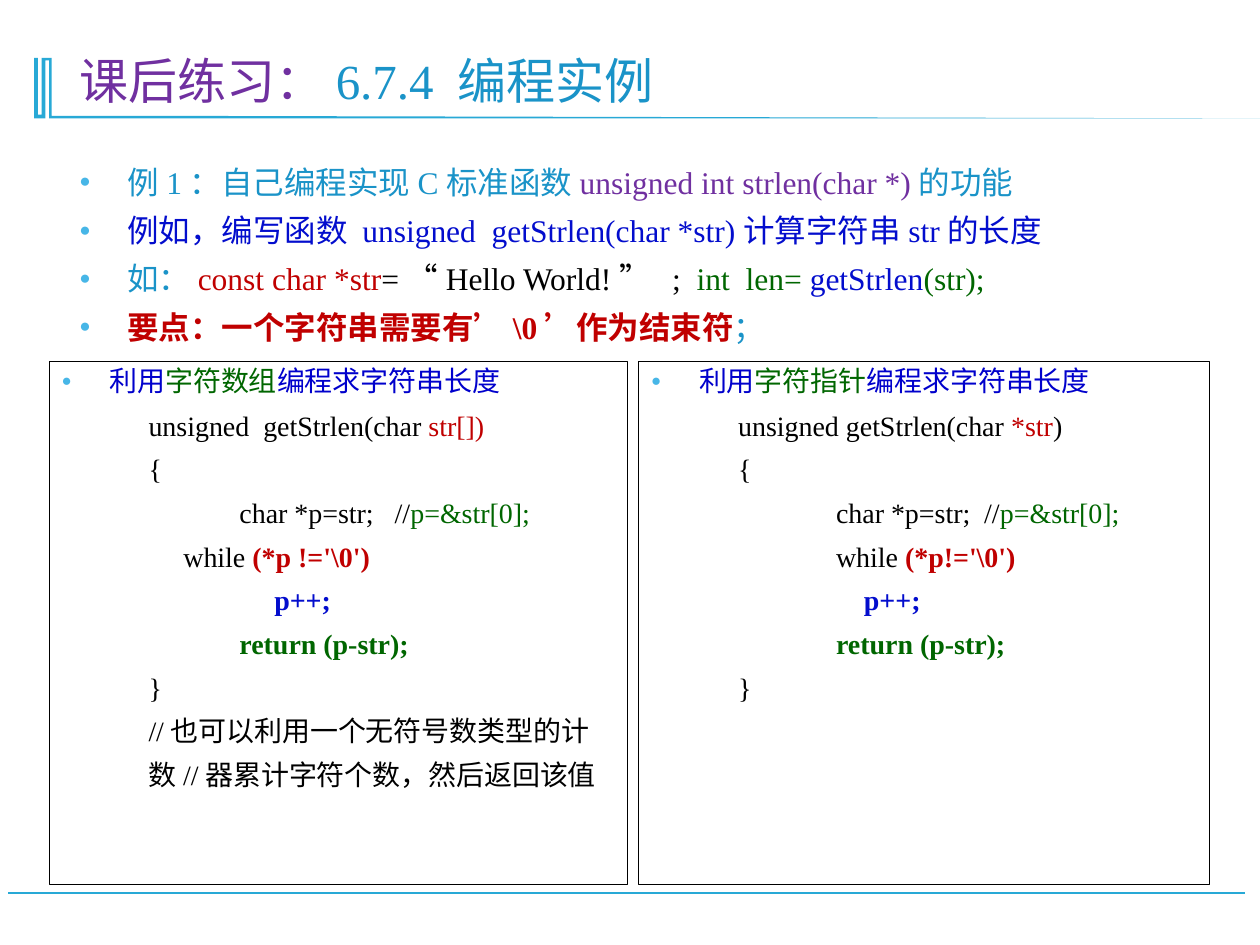
from dataclasses import dataclass

from lxml import etree
from pptx import Presentation
from pptx.dml.color import RGBColor
from pptx.enum.shapes import MSO_CONNECTOR, MSO_SHAPE
from pptx.enum.text import MSO_ANCHOR, MSO_AUTO_SIZE, PP_ALIGN
from pptx.oxml.ns import qn
from pptx.util import Inches, Pt

STRAIGHT = MSO_CONNECTOR.STRAIGHT
RECTANGLE = MSO_SHAPE.RECTANGLE
TOP, BOTTOM = MSO_ANCHOR.TOP, MSO_ANCHOR.BOTTOM
NO_AUTOFIT = MSO_AUTO_SIZE.NONE
LEFT = PP_ALIGN.LEFT


@dataclass(frozen=True)
class Theme:
    font: str = "Times New Roman"
    title_size: int = 28
    body_size: int = 18
    code_size: int = 16
    accent: str = "28A9D6"
    heading: str = "1A93C8"
    bullet: str = "47B6E7"
    purple: str = "7030A0"
    blue: str = "030DCD"
    panel_blue: str = "0000CC"
    red: str = "C00000"
    green: str = "006600"
    black: str = "000000"


THEME = Theme()


class SlideBuilder:
    def __init__(self, slide, theme):
        self.slide = slide
        self.theme = theme

    def color(self, name):
        return RGBColor.from_string(getattr(self.theme, name))

    def place(self, shape, box):
        shape.left, shape.top, shape.width, shape.height = map(Inches, box)

    def prepare(self, frame, anchor):
        frame.word_wrap = True
        frame.auto_size = NO_AUTOFIT
        frame.vertical_anchor = anchor

    def next_paragraph(self, frame, index):
        return frame.add_paragraph() if index else frame.paragraphs[0]

    def fill_paragraph(self, paragraph, runs, size, spacing=1.0, before=0):
        paragraph.alignment = LEFT
        paragraph.line_spacing = spacing
        paragraph.space_before = Pt(before)
        paragraph.font.name = self.theme.font
        paragraph.font.size = Pt(size)
        for text, color, *bold in runs:
            run = paragraph.add_run()
            run.text = text
            run.font.color.rgb = self.color(color)
            run.font.bold = bool(bold)

    def indent(self, paragraph, margin, first=0.0):
        properties = paragraph._p.get_or_add_pPr()
        properties.set("marL", str(Inches(margin)))
        properties.set("indent", str(Inches(first)))
        return properties

    def bullet(self, paragraph):
        properties = self.indent(paragraph, 0.38, -0.38)
        color = etree.SubElement(properties, qn("a:buClr"))
        etree.SubElement(color, qn("a:srgbClr"), val=self.theme.bullet)
        etree.SubElement(properties, qn("a:buSzPct"), val="60000")
        etree.SubElement(properties, qn("a:buFont"), typeface=self.theme.font)
        etree.SubElement(properties, qn("a:buChar"), char="●")

    def code_indent(self, paragraph):
        paragraph.level = 1
        properties = self.indent(paragraph, 0.69)
        stops = etree.SubElement(properties, qn("a:tabLst"))
        etree.SubElement(stops, qn("a:tab"), pos=str(Inches(1.44)), algn="l")

    def title(self, box, runs):
        title = self.slide.shapes.title
        self.place(title, box)
        self.prepare(title.text_frame, BOTTOM)
        heading = title.text_frame.paragraphs[0]
        self.fill_paragraph(heading, runs, self.theme.title_size, 0.9)

    def body(self, box, items):
        body = self.slide.placeholders[1]
        self.place(body, box)
        self.prepare(body.text_frame, TOP)
        for index, runs in enumerate(items):
            paragraph = self.next_paragraph(body.text_frame, index)
            self.bullet(paragraph)
            before = 6 if index else 0
            self.fill_paragraph(paragraph, runs, self.theme.body_size, before=before)

    def code_panel(self, box, heading, code):
        panel = self.slide.shapes.add_shape(RECTANGLE, *map(Inches, box))
        panel.shadow.inherit = False
        panel.fill.background()
        panel.line.color.rgb = self.color("black")
        panel.line.width = Pt(0.75)
        self.prepare(panel.text_frame, TOP)
        for index, runs in enumerate([heading, *code]):
            paragraph = self.next_paragraph(panel.text_frame, index)
            if index:
                self.code_indent(paragraph)
            else:
                self.bullet(paragraph)
            spacing = 1.3 if index else 0.9
            self.fill_paragraph(paragraph, runs, self.theme.code_size, spacing)

    def rule(self, start, end):
        rule = self.slide.shapes.add_connector(STRAIGHT, *map(Inches, (*start, *end)))
        rule.line.color.rgb = self.color("accent")
        rule.line.width = Pt(1.25)
        etree.SubElement(rule._element.spPr, qn("a:effectLst"))

    def ornament(self, points):
        start, *rest = [(Inches(x), Inches(y)) for x, y in points]
        outline = self.slide.shapes.build_freeform(*start)
        outline.add_line_segments(rest, close=True)
        ornament = outline.convert_to_shape()
        ornament.shadow.inherit = False
        ornament.fill.solid()
        ornament.fill.fore_color.rgb = self.color("accent")
        ornament.line.fill.background()


TITLE = [("课后练习：", "purple"), ("6.7.4 编程实例", "heading")]

EXERCISES = [
    [("例1：自己编程实现C标准函数", "heading"),
     ("unsigned int strlen(char *)", "purple"), ("的功能", "heading")],
    [("例如，编写函数 unsigned  getStrlen(char *str)计算字符串str的长度", "blue")],
    [("如：", "heading"), ("const char *str", "red"),
     ("=“Hello World!”  ;  ", "black"), ("int  len= ", "green"),
     ("getStrlen", "blue"), ("(str);", "green")],
    [("要点：一个字符串需要有’\\0’作为结束符", "red", True), ("；", "heading")],
]

OPEN_BRACE = [("{", "black")]
CLOSE_BRACE = [("}", "black")]
INCREMENT = [("\t", "black"), ("         p++;", "blue", True)]

ARRAY_CODE = [
    [("unsigned  getStrlen(char ", "black"), ("str[])", "red")],
    OPEN_BRACE,
    [("\t    char *p=str;   //", "black"), ("p=&str[0];", "green")],
    [("     while ", "black"), ("(*p !='\\0')", "red", True)],
    INCREMENT,
    [("\t", "black"), ("    return (p-str);", "green", True)],
    CLOSE_BRACE,
    [("//也可以利用一个无符号数类型的计数//器累计字符个数，然后返回该值", "black")],
]

POINTER_CODE = [
    [("unsigned getStrlen(char ", "black"), ("*str", "red"), (")", "black")],
    OPEN_BRACE,
    [("\t     char *p=str;  //", "black"), ("p=&str[0];", "green")],
    [("\t     while ", "black"), ("(*p!='\\0')", "red", True)],
    INCREMENT,
    [("\t     ", "black"), ("return (p-str);", "green", True)],
    CLOSE_BRACE,
]

TITLE_ORNAMENT = [
    (0.41, 0.46), (0.41, 0.92), (1.4, 0.92), (10.09, 0.94), (0.39, 0.94),
    (0.39, 0.48), (0.36, 0.48), (0.36, 0.94), (0.27, 0.94), (0.27, 0.46),
    (0.3, 0.46), (0.3, 0.91), (0.33, 0.91), (0.33, 0.46),
]


def panel_heading(subject):
    return [("利用", "panel_blue"), (subject, "green"), ("编程求字符串长度", "panel_blue")]


def main():
    deck = Presentation()
    deck.slide_width, deck.slide_height = Inches(10), Inches(7.5)
    builder = SlideBuilder(deck.slides.add_slide(deck.slide_layouts[1]), THEME)
    builder.rule((9.88, 7.09), (0.06, 7.09))
    builder.ornament(TITLE_ORNAMENT)
    builder.title((0.53, 0.28, 8.85, 0.64), TITLE)
    builder.body((0.53, 1.24, 8.85, 1.46), EXERCISES)
    builder.code_panel((0.39, 2.87, 4.59, 4.15), panel_heading("字符数组"), ARRAY_CODE)
    builder.code_panel((5.07, 2.87, 4.53, 4.15), panel_heading("字符指针"), POINTER_CODE)
    deck.save("out.pptx")


if __name__ == "__main__":
    main()
